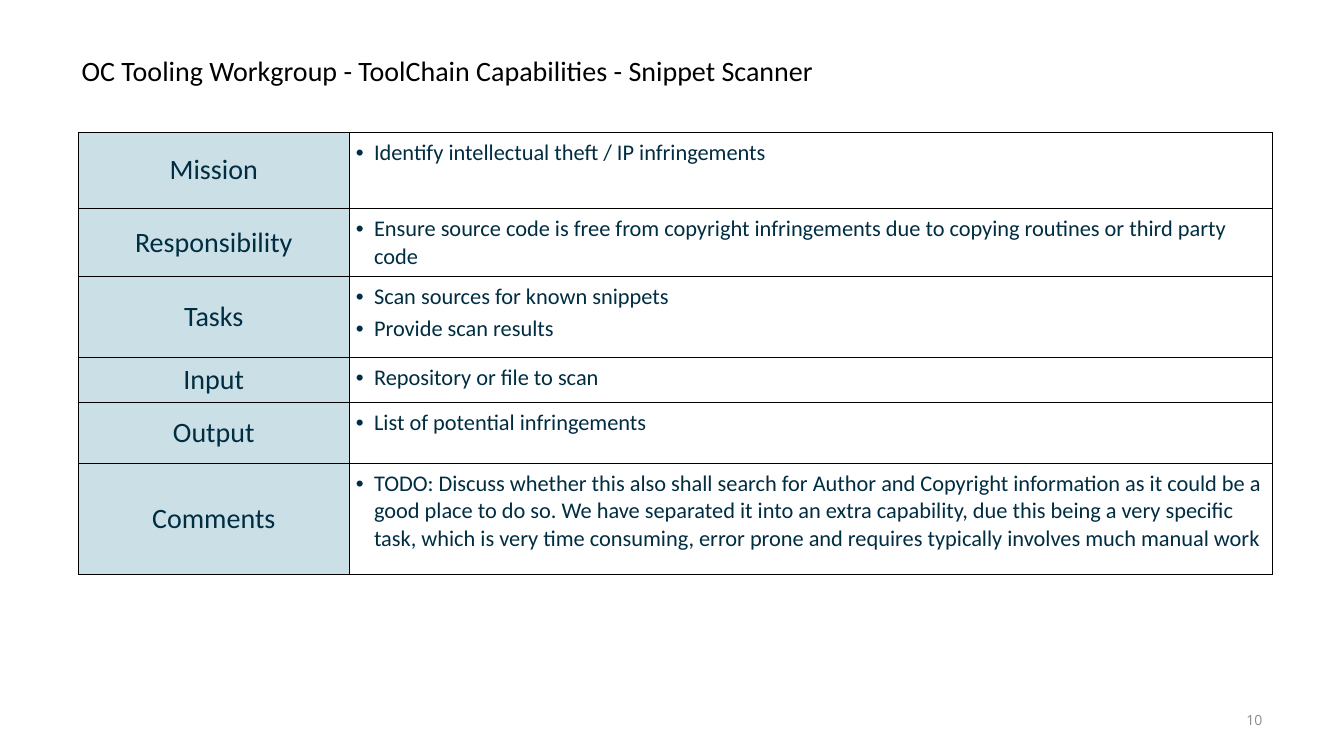
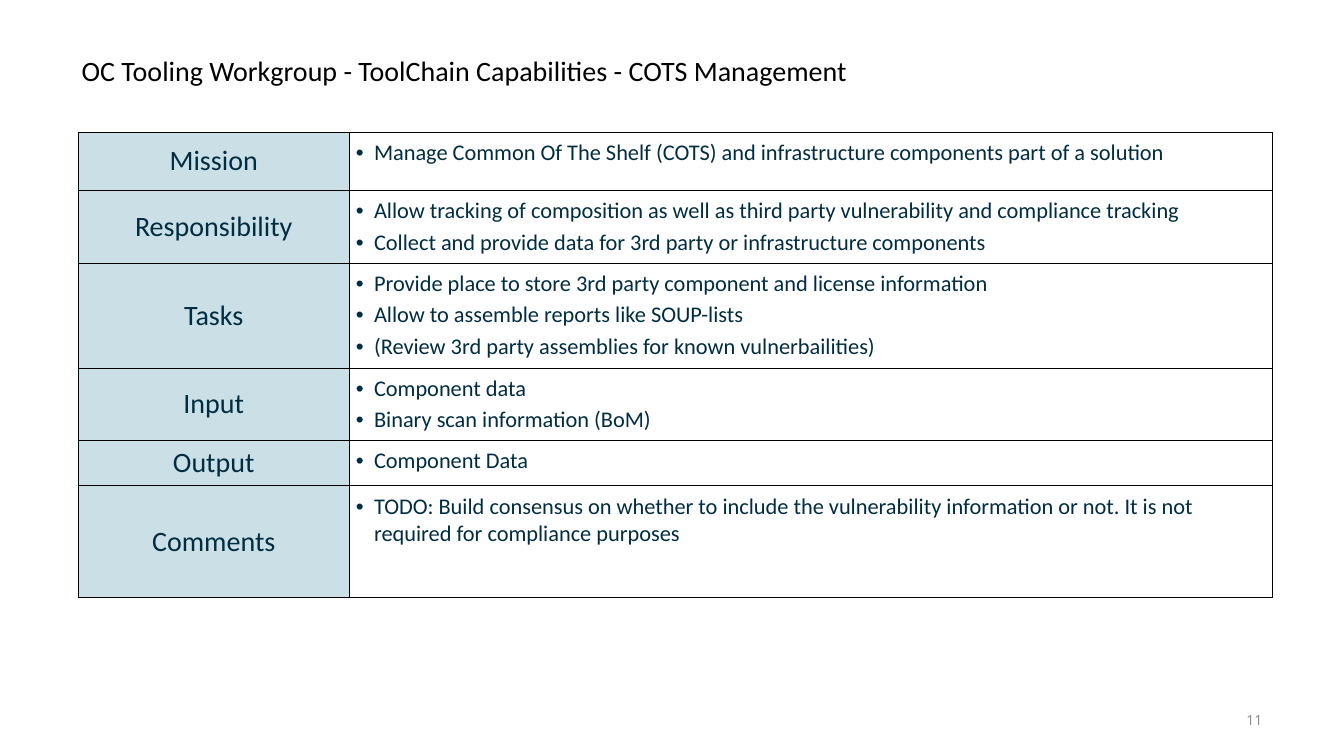
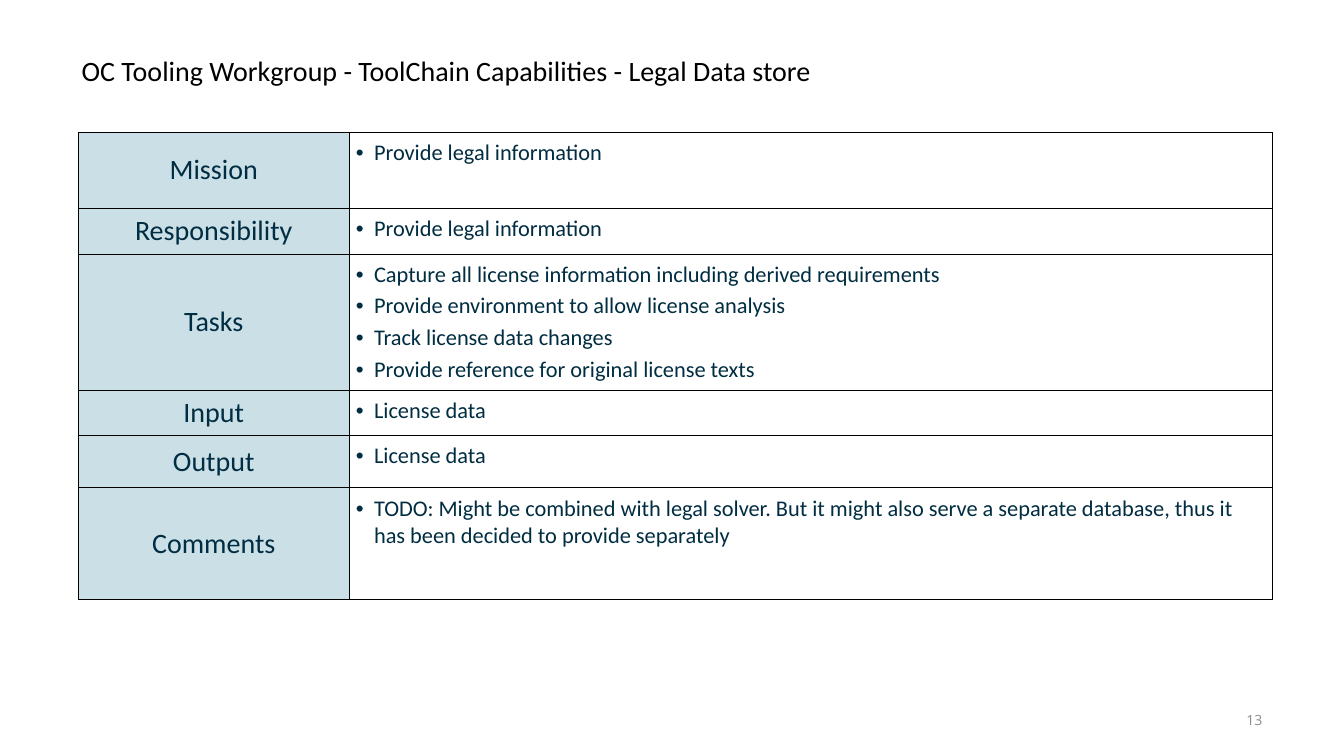
"""Build the capability table slides of the tooling workgroup."""
from dataclasses import dataclass

from lxml import etree
from pptx import Presentation
from pptx import util as u
from pptx.dml import color
from pptx.enum import text
from pptx.oxml import ns


@dataclass(frozen=True)
class Theme:
    """Colours, fonts, type sizes and insets shared by all slides."""
    body_font: str = "Calibri"
    number_font: str = "Open Sans"
    black: str = "000000"
    ink: str = "002D41"
    grey: str = "888C91"
    label_fill: str = "CBDFE7"
    title_size: int = 20
    label_size: int = 20
    bullet_size: int = 16
    number_size: int = 10
    border: float = 0.5
    bullet_gap: int = 3
    bullet_indent: float = 0.18
    box_inset: float = 0.05
    cell_inset: float = 0.07


THEME = Theme()
PAGE_WIDTH, PAGE_HEIGHT = u.Inches(13.33), u.Inches(7.5)
TITLE_AREA = (5.7, 5.2, 79.67, 8.67)
NUMBER_AREA = (92.27, 93.33, 2.03, 3.87)
TABLE_LEFT, TABLE_TOP = 5.85, 17.47
TABLE_COLUMNS = (20.11, 68.72)
TITLE_LEAD = "OC Tooling Workgroup - ToolChain Capabilities - "
LABELS = ("Mission", "Responsibility", "Tasks", "Input", "Output", "Comments")

CAPABILITIES = (
    ("Snippet Scanner", 10, (
        (10.13, ["Identify intellectual theft / IP infringements"]),
        (8.95, ["Ensure source code is free from copyright infringements due to "
                "copying routines or third party code"]),
        (10.67, ["Scan sources for known snippets", "Provide scan results"]),
        (6, ["Repository or file to scan"]),
        (8, ["List of potential infringements"]),
        (14.8, ["TODO: Discuss whether this also shall search for Author and Copyright "
                "information as it could be a good place to do so. We have separated it "
                "into an extra capability, due this being a very specific task, which is "
                "very time consuming, error prone and requires typically involves much "
                "manual work"]),
    )),
    ("COTS Management", 11, (
        (7.73, ["Manage Common Of The Shelf (COTS) and infrastructure components "
                "part of a solution"]),
        (9.6, ["Allow tracking of composition as well as third party vulnerability "
               "and compliance tracking",
               "Collect and provide data for 3rd party or infrastructure components"]),
        (13.87, ["Provide place to store 3rd party component and license information",
                 "Allow to assemble reports like SOUP-lists",
                 "(Review 3rd party assemblies for known vulnerbailities)"]),
        (9.6, ["Component data", "Binary scan information (BoM)"]),
        (6, ["Component Data"]),
        (14.8, ["TODO: Build consensus on whether to include the vulnerability "
                "information or not. It is not required for compliance purposes"]),
    )),
    ("Legal Data store", 13, (
        (10.13, ["Provide legal information"]),
        (6, ["Provide legal information"]),
        (18, ["Capture all license information including derived requirements",
              "Provide environment to allow license analysis",
              "Track license data changes",
              "Provide reference for original license texts"]),
        (6, ["License data"]),
        (6.93, ["License data"]),
        (14.8, ["TODO: Might be combined with legal solver. But it might also serve a "
                "separate database, thus it has been decided to provide separately"]),
    )),
)


def across(share):
    """Turn a percentage of the page width into a length."""
    return u.Emu(round(PAGE_WIDTH * share / 100))


def down(share):
    """Turn a percentage of the page height into a length."""
    return u.Emu(round(PAGE_HEIGHT * share / 100))


def set_insets(holder, inset):
    """Give a cell or text frame the same inset on all sides."""
    for side in ("left", "top", "right", "bottom"):
        setattr(holder, f"margin_{side}", u.Inches(inset))


def add_span(para, words, size, ink, font=THEME.body_font):
    """Add one styled run to a paragraph."""
    span = para.add_run()
    span.text = words
    span.font.size = u.Pt(size)
    span.font.name = font
    span.font.color.rgb = color.RGBColor.from_string(ink)


def add_box(page, area, wrap):
    """Add a vertically centred text box and return its frame."""
    left, top, width, height = area
    box = page.shapes.add_textbox(across(left), down(top), across(width), down(height))
    frame = box.text_frame
    frame.word_wrap = wrap
    frame.vertical_anchor = text.MSO_ANCHOR.MIDDLE
    set_insets(frame, THEME.box_inset)
    return frame


def add_title(page, name):
    """Add the slide title with its shared lead."""
    para = add_box(page, TITLE_AREA, True).paragraphs[0]
    para.line_spacing = 0.9
    add_span(para, TITLE_LEAD + name, THEME.title_size, THEME.black)


def add_number(page, number):
    """Add the page number at the lower right."""
    frame = add_box(page, NUMBER_AREA, False)
    frame.auto_size = text.MSO_AUTO_SIZE.SHAPE_TO_FIT_TEXT
    para = frame.paragraphs[0]
    para.alignment = text.PP_ALIGN.RIGHT
    add_span(para, str(number), THEME.number_size, THEME.grey, THEME.number_font)


def add_borders(cell):
    """Draw a thin line on all four sides of a cell."""
    properties = cell._tc.get_or_add_tcPr()
    for side in ("lnL", "lnR", "lnT", "lnB"):
        line = etree.SubElement(properties, ns.qn(f"a:{side}"), w=str(u.Pt(THEME.border)))
        fill = etree.SubElement(line, ns.qn("a:solidFill"))
        etree.SubElement(fill, ns.qn("a:srgbClr"), val=THEME.black)


def add_bullet(para):
    """Give a paragraph a hanging bullet."""
    para.space_before = u.Pt(THEME.bullet_gap)
    properties = para._p.get_or_add_pPr()
    indent = u.Inches(THEME.bullet_indent)
    properties.set("marL", str(indent))
    properties.set("indent", str(-indent))
    etree.SubElement(properties, ns.qn("a:buFont"), typeface="Arial")
    etree.SubElement(properties, ns.qn("a:buChar"), char="•")


def fill_label(cell, label):
    """Write a centred row label on a tinted cell."""
    add_borders(cell)
    cell.fill.solid()
    cell.fill.fore_color.rgb = color.RGBColor.from_string(THEME.label_fill)
    cell.vertical_anchor = text.MSO_ANCHOR.MIDDLE
    set_insets(cell, 0)
    para = cell.text_frame.paragraphs[0]
    para.alignment = text.PP_ALIGN.CENTER
    add_span(para, label, THEME.label_size, THEME.ink)


def fill_bullets(cell, points):
    """Write a bulleted list in a clear cell."""
    add_borders(cell)
    cell.fill.background()
    set_insets(cell, THEME.cell_inset)
    frame = cell.text_frame
    for index, point in enumerate(points):
        para = frame.add_paragraph() if index else frame.paragraphs[0]
        add_bullet(para)
        add_span(para, point, THEME.bullet_size, THEME.ink)


def add_capability_table(page, rows):
    """Add the table of labels and bulleted descriptions."""
    height = sum(share for share, _ in rows)
    table = page.shapes.add_table(
        len(rows), len(TABLE_COLUMNS), across(TABLE_LEFT), down(TABLE_TOP),
        across(sum(TABLE_COLUMNS)), down(height)).table
    table.first_row = table.horz_banding = False
    for column, share in zip(table.columns, TABLE_COLUMNS):
        column.width = across(share)
    for row, label, (share, points) in zip(table.rows, LABELS, rows):
        row.height = down(share)
        fill_label(row.cells[0], label)
        fill_bullets(row.cells[1], points)


def main():
    """Build and save the deck."""
    deck = Presentation()
    deck.slide_width, deck.slide_height = PAGE_WIDTH, PAGE_HEIGHT
    for name, number, rows in CAPABILITIES:
        page = deck.slides.add_slide(deck.slide_layouts[6])
        add_title(page, name)
        add_number(page, number)
        add_capability_table(page, rows)
    deck.save("out.pptx")


main()
